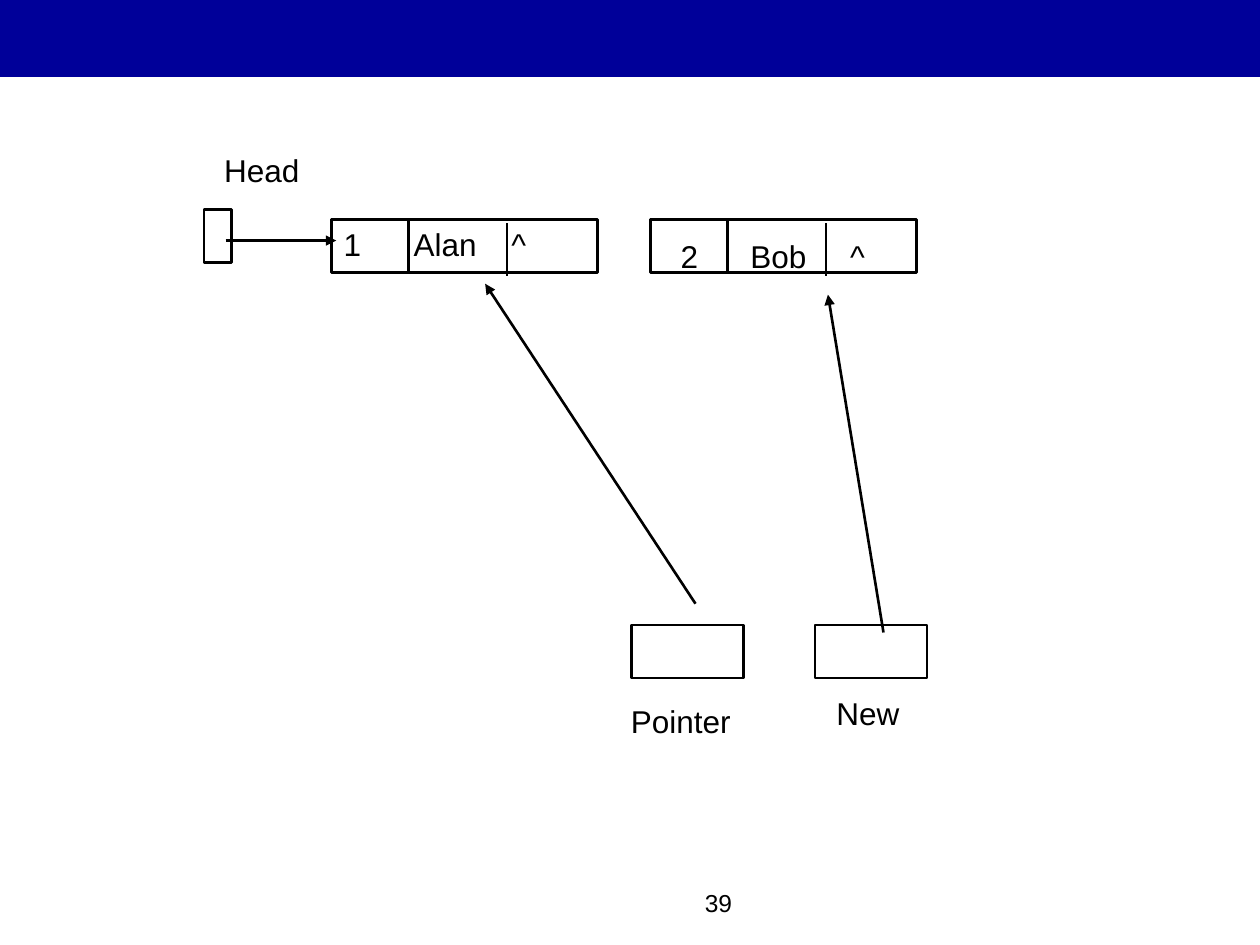
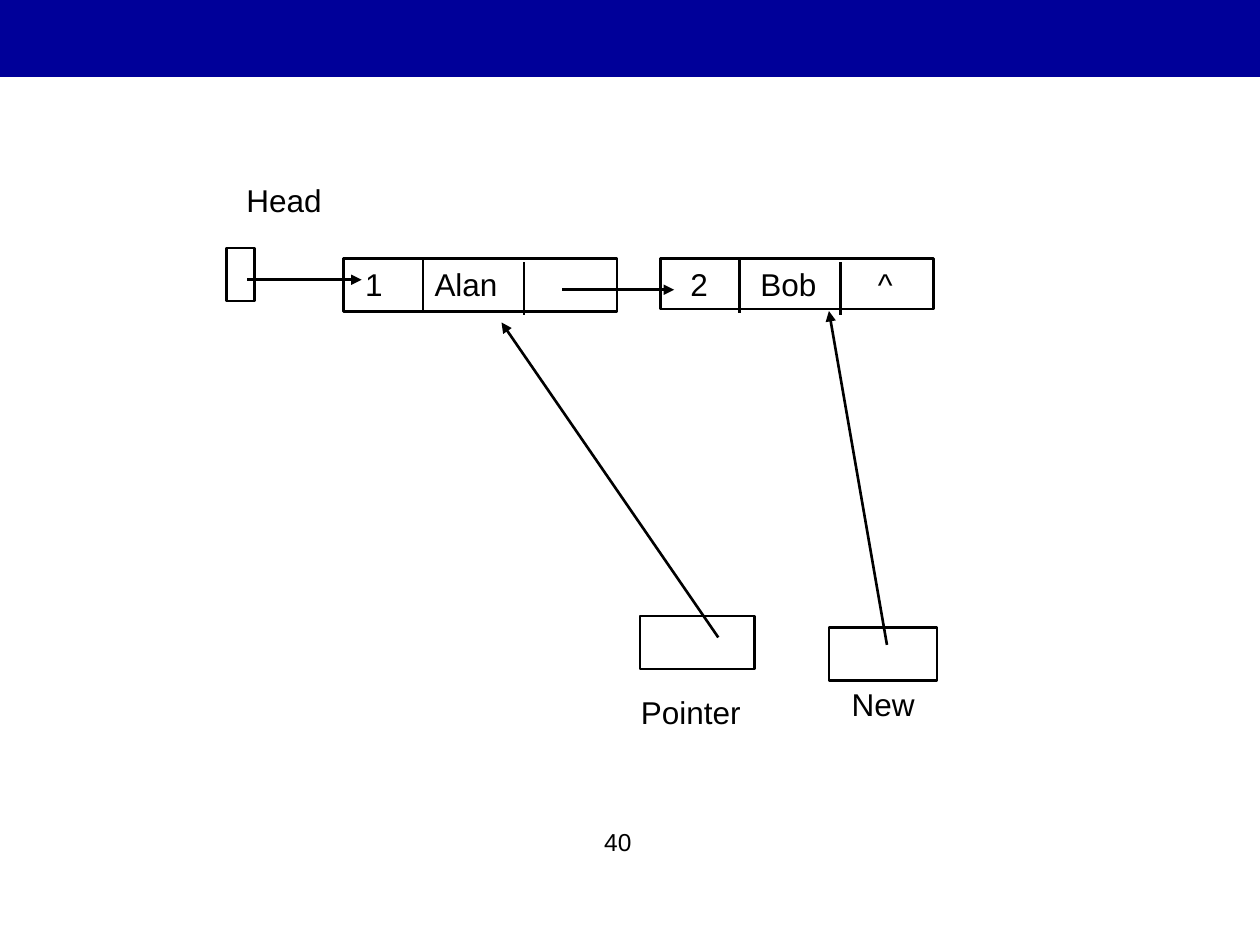
from lxml import etree
from pptx import Presentation
from pptx.dml.color import RGBColor
from pptx.enum.shapes import MSO_CONNECTOR, MSO_SHAPE
from pptx.enum.text import PP_ALIGN
from pptx.oxml.ns import qn
from pptx.util import Cm, Pt

RECT = MSO_SHAPE.RECTANGLE
STRAIGHT = MSO_CONNECTOR.STRAIGHT
LEFT, RIGHT = PP_ALIGN.LEFT, PP_ALIGN.RIGHT

rgb = RGBColor.from_string
BLACK, BLUE = "000000", "000099"
FONT = "Arial"
LINE_W = Pt(1.5)
BOX_H = 1.07
INSET = 0.25
TEXT_H = 1.02


def add_text(s, text, x, y, w, size=18, align=LEFT, columns=(INSET,)):
    """Add one line of text whose tab-separated parts start at the columns."""
    tf = s.shapes.add_textbox(Cm(x), Cm(y), Cm(w), Cm(TEXT_H)).text_frame
    tf.word_wrap = True
    tf.margin_left = Cm(columns[0])
    tf.text = text
    p = tf.paragraphs[0]
    p.alignment = align
    if len(columns) > 1:
        tabs = etree.SubElement(p._p.get_or_add_pPr(), qn("a:tabLst"))
        for column in columns[1:]:
            etree.SubElement(tabs, qn("a:tab"), pos=str(Cm(column - columns[0])), algn="l")
    p.font.name = FONT
    p.font.size = Pt(size)
    p.font.color.rgb = rgb(BLACK)


def add_line(s, x1, y1, x2, y2, arrow=False):
    line = s.shapes.add_connector(STRAIGHT, Cm(x1), Cm(y1), Cm(x2), Cm(y2))
    line.line.color.rgb = rgb(BLACK)
    line.line.width = LINE_W
    if arrow:
        etree.SubElement(line.line._get_or_add_ln(), qn("a:tailEnd"), type="triangle")
    etree.SubElement(line._element.spPr, qn("a:effectLst"))


# Nodes: x, y, height, text, text y, text columns
# Boxes: x, y, width; labels: text, x, y, width; arrows: from x, y to x, y
slides = [
    {
        "number": ("39", 9.73, 17.78),
        "node_w": 5.37,
        "nodes": [
            (6.68, 4.42, BOX_H, "1\tAlan\t^", 4.42, (0.25, 1.66, 3.63)),
            (13.11, 4.42, BOX_H, "2\tBob\t^", 4.65, (0.61, 2.02, 4.03)),
        ],
        "boxes": [(4.11, 4.22, 0.56), (12.73, 12.6, 2.26), (16.43, 12.6, 2.26)],
        "labels": [
            ("Head", 4.27, 2.92, 2.03),
            ("Pointer", 12.47, 14.02, 3.05),
            ("New", 16.61, 13.87, 1.78),
        ],
        "arrows": [
            (4.55, 4.85, 6.78, 4.85),
            (14.02, 12.17, 9.78, 5.72),
            (17.81, 12.75, 16.69, 5.94),
        ],
    },
    {
        "number": ("40", 7.7, 16.54),
        "node_w": 5.51,
        "nodes": [
            (6.93, 5.21, BOX_H, "1\tAlan", 5.21, (0.43, 1.83)),
            (13.31, 5.21, 1.02, "2\tBob\t^", 5.21, (0.61, 2.02, 4.39)),
        ],
        "boxes": [(4.57, 5.0, 0.56), (12.9, 12.42, 2.31), (16.71, 12.65, 2.18)],
        "labels": [
            ("Head", 4.72, 3.53, 2.03),
            ("Pointer", 12.67, 13.84, 3.05),
            ("New", 16.92, 13.69, 1.78),
        ],
        "arrows": [
            (4.98, 5.64, 7.29, 5.64),
            (11.33, 5.84, 13.59, 5.84),
            (14.48, 12.85, 10.11, 6.5),
            (17.88, 13.0, 16.71, 6.27),
        ],
    },
]

prs = Presentation()
prs.slide_width, prs.slide_height = Cm(25.4), Cm(19.05)

for content in slides:
    s = prs.slides.add_slide(prs.slide_layouts[6])

    # Top band and slide number
    band = s.shapes.add_shape(RECT, 0, 0, prs.slide_width, Cm(1.55))
    band.shadow.inherit = False
    band.fill.solid()
    band.fill.fore_color.rgb = rgb(BLUE)
    band.line.fill.background()
    number, x, y = content["number"]
    add_text(s, number, x, y, 5.28, size=14, align=RIGHT)

    # Outlines of list nodes and pointer boxes
    node_w = content["node_w"]
    outlines = [(x, y, node_w, h) for x, y, h, *_ in content["nodes"]]
    outlines += [(x, y, w, BOX_H) for x, y, w in content["boxes"]]
    for x, y, w, h in outlines:
        sp = s.shapes.add_shape(RECT, Cm(x), Cm(y), Cm(w), Cm(h))
        sp.shadow.inherit = False
        sp.fill.background()
        sp.line.color.rgb = rgb(BLACK)
        sp.line.width = LINE_W

    # Field dividers and field values of each node
    for x, y, h, text, text_y, columns in content["nodes"]:
        for share, drop in ((0.29, 0.03), (0.66, 0.08)):
            divider_x = x + share * node_w
            add_line(s, divider_x, y + drop, divider_x, y + drop + BOX_H)
        add_text(s, text, x, text_y, node_w, columns=columns)

    # Labels and links
    for label in content["labels"]:
        add_text(s, *label)
    for arrow in content["arrows"]:
        add_line(s, *arrow, arrow=True)

prs.save("out.pptx")
